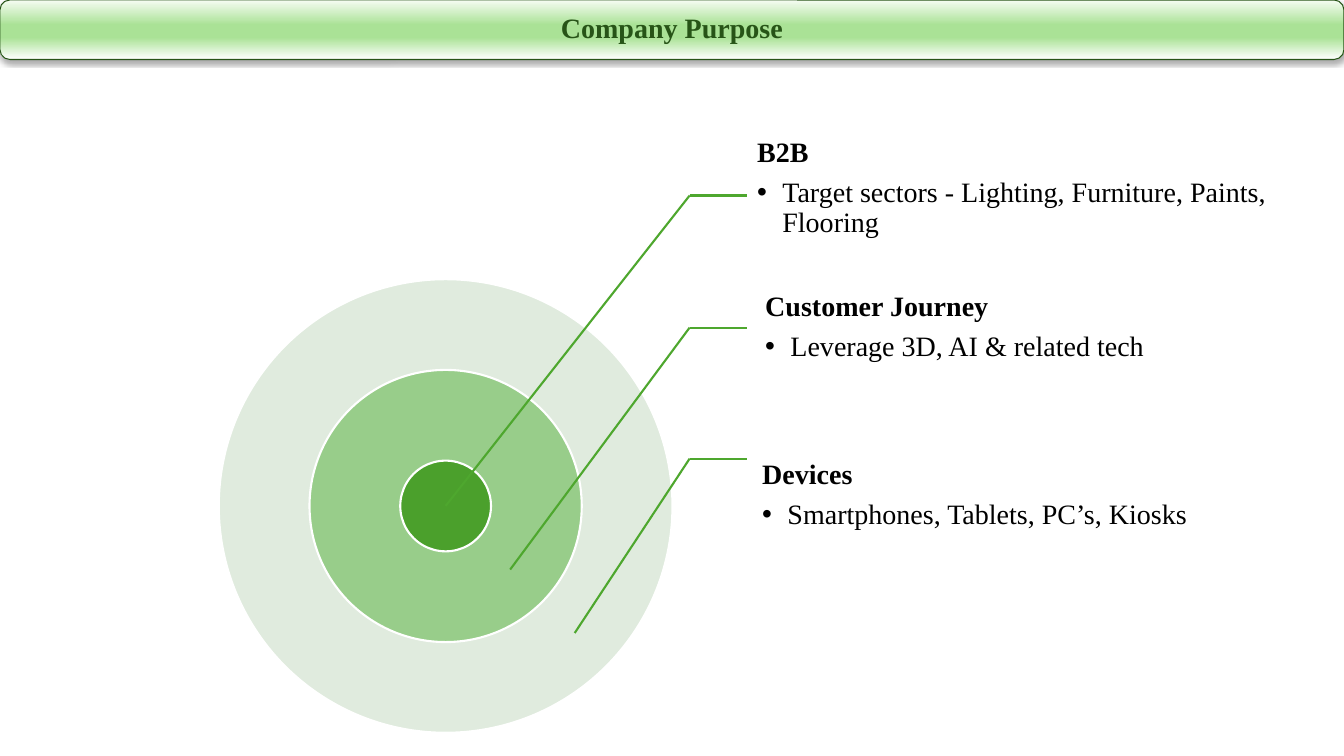
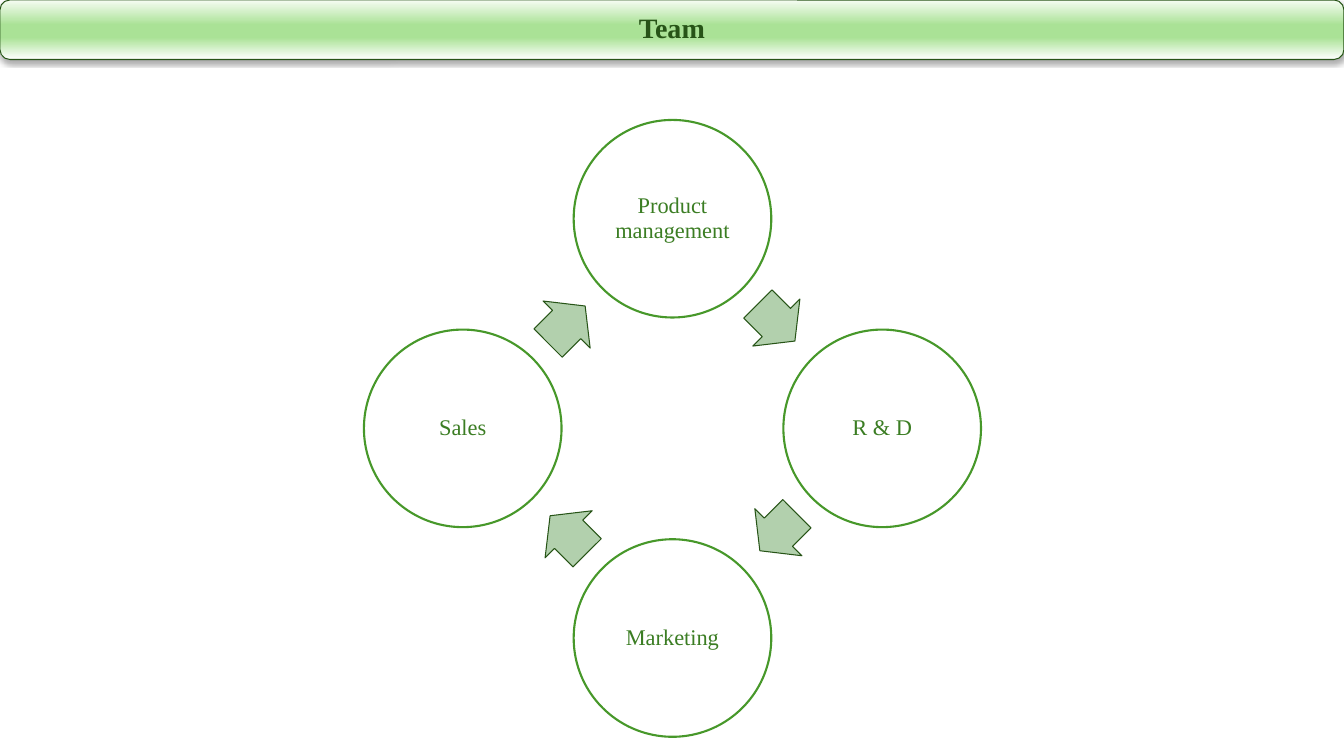
from dataclasses import dataclass

from pptx import Presentation, util as u
from pptx.dml.color import RGBColor
from pptx.enum import shapes as es, text as et
from pptx.oxml import parse_xml
from pptx.oxml.ns import nsdecls
from pptx.shapes.autoshape import Shape
from pptx.slide import Slide
from pptx.text.text import TextFrame

# Scale: 100 px to the inch
PX = 9144
WIDE, HIGH = 1333, 750

# Shared style
FONT = "Times New Roman"
DARK, INK, WHITE = "275417", "000000", "FFFFFF"
LEAD, EDGE, LABEL, ARROW = "4EA72E", "47982A", "3B7D23", "B2D0AD"
BAND = ((0, "F6FCF3"), (42, "AAE296"), (63, "AAE296"), (100, WHITE))


@dataclass(frozen=True)
class Ring:
    size: int
    fill: str
    alpha: int


@dataclass(frozen=True)
class Note:
    head: str
    body: str
    left: int
    top: int
    width: int
    bend: int  # height of the leader's level part


RINGS = (Ring(450, "C2D9BE", 50), Ring(270, "80C36E", 75), Ring(90, "4BA02C", 100))
NOTES = (
    Note("B2B", "Target sectors - Lighting, Furniture, Paints, Flooring", 735, 134, 527, 194),
    Note("Customer Journey", "Leverage 3D, AI & related tech", 743, 287, 479, 325),
    Note("Devices", "Smartphones, Tablets, PC’s, Kiosks", 740, 454, 479, 455),
)
TEAMS = ("Product management", "R & D", "Marketing", "Sales")


# Helpers
def px(val: float) -> int:
    return round(val * PX)


def rgb(code: str) -> RGBColor:
    return RGBColor.from_string(code)


def xml(tag: str, attrs: str = "", inner: str = ""):
    return parse_xml(f"<a:{tag} {nsdecls('a')} {attrs}>{inner}</a:{tag}>")


def shape(slide: Slide, kind: es.MSO_SHAPE, mid: tuple[float, float], size: tuple[int, int],
          fill: str, line: str, weight: float) -> Shape:
    (x, y), (w, h) = mid, size
    item = slide.shapes.add_shape(kind, px(x - w / 2), px(y - h / 2), px(w), px(h))
    item.shadow.inherit = False
    item.fill.solid()
    item.fill.fore_color.rgb = rgb(fill)
    item.line.color.rgb = rgb(line)
    item.line.width = u.Pt(weight)
    return item


def inset(frame: TextFrame, left: int, rest: int) -> None:
    frame.margin_left = px(left)
    frame.margin_top = frame.margin_right = frame.margin_bottom = px(rest)


def style(frame: TextFrame, size: int, color: str, bold: bool = False,
          align: et.PP_ALIGN = et.PP_ALIGN.CENTER) -> None:
    frame.word_wrap = True
    for para in frame.paragraphs:
        para.alignment = align
        para.line_spacing = 0.9
        for run in para.runs:
            font = run.font
            font.name, font.size, font.bold = FONT, u.Pt(size), bold
            font.color.rgb = rgb(color)


def line(slide: Slide, x1: int, y1: int, x2: int, y2: int) -> None:
    item = slide.shapes.add_connector(es.MSO_CONNECTOR.STRAIGHT, px(x1), px(y1), px(x2), px(y2))
    item.line.color.rgb = rgb(LEAD)
    item.line.width = u.Pt(1.5)
    item._element.spPr.append(xml("effectLst"))


# Title band with gradient and soft shadow
def title(slide: Slide, words: str) -> None:
    band = shape(slide, es.MSO_SHAPE.ROUNDED_RECTANGLE, (WIDE / 2, 29.5), (WIDE, 59),
                 WHITE, DARK, 0.75)
    stops = "".join(f'<a:gs pos="{pos * 1000}"><a:srgbClr val="{code}"/></a:gs>'
                    for pos, code in BAND)
    grad = xml("gradFill", 'rotWithShape="1"',
               f'<a:gsLst>{stops}</a:gsLst><a:lin ang="5400000" scaled="0"/>')
    props = band._element.spPr
    props.replace(props.find("{*}solidFill"), grad)
    props.find("{*}effectLst").append(xml(
        "outerShdw", f'blurRad="{u.Pt(3.5)}" dist="{u.Pt(2.2)}" dir="5400000" rotWithShape="0"',
        f'<a:srgbClr val="{INK}"><a:alpha val="32000"/></a:srgbClr>'))
    frame = band.text_frame
    frame.text = words
    frame.vertical_anchor = et.MSO_ANCHOR.MIDDLE
    style(frame, 20, DARK, bold=True)


# Target diagram
def note(slide: Slide, item: Note) -> None:
    box = slide.shapes.add_textbox(px(item.left), px(item.top), px(item.width), px(120))
    frame = box.text_frame
    frame.text = f"{item.head}\n{item.body}"
    inset(frame, 16, 3)
    style(frame, 20, INK, align=et.PP_ALIGN.LEFT)
    head, body = frame.paragraphs
    head.runs[0].font.bold = True
    head.space_after, body.space_after = u.Pt(7), u.Pt(3)
    props = body._p.get_or_add_pPr()
    props.set("marL", str(px(25)))
    props.set("indent", str(px(-25)))
    props.append(xml("buFont", 'typeface="Arial"'))
    props.append(xml("buChar", 'char="•"'))


def target(slide: Slide) -> None:
    x, y = 442, 502
    for ring in RINGS:
        disc = shape(slide, es.MSO_SHAPE.OVAL, (x, y), (ring.size, ring.size),
                     ring.fill, WHITE, 1.5)
        if ring.alpha < 100:
            tint = disc._element.spPr.find("{*}solidFill")[0]
            tint.append(xml("alpha", f'val="{ring.alpha * 1000}"'))
    for i, item in enumerate(NOTES):
        note(slide, item)
        line(slide, 684, item.bend, 741, item.bend)
        line(slide, 684, item.bend, x + 64 * i, y + 63 * i)


# Team cycle: each step is a quarter turn further round
def cycle(slide: Slide) -> None:
    x, y = 667, 425
    node, link = (0, -208), (103, -105)
    for i, name in enumerate(TEAMS):
        disc = shape(slide, es.MSO_SHAPE.OVAL, (x + node[0], y + node[1]), (196, 196),
                     WHITE, EDGE, 1.5)
        frame = disc.text_frame
        frame.text = name
        frame.vertical_anchor = et.MSO_ANCHOR.MIDDLE
        inset(frame, 2, 2)
        style(frame, 16, LABEL)
        arrow = shape(slide, es.MSO_SHAPE.RIGHT_ARROW, (x + link[0], y + link[1]), (52, 66),
                      ARROW, DARK, 0.75)
        arrow.adjustments[0], arrow.adjustments[1] = 0.6, 0.5
        arrow.rotation = 45 + 90 * i
        node, link = (-node[1], node[0]), (-link[1], link[0])


def main() -> None:
    deck = Presentation()
    deck.slide_width, deck.slide_height = px(WIDE), px(HIGH)
    for words, draw in (("Company Purpose", target), ("Team", cycle)):
        slide = deck.slides.add_slide(deck.slide_layouts[6])
        title(slide, words)
        draw(slide)
    deck.save("out.pptx")


if __name__ == "__main__":
    main()
